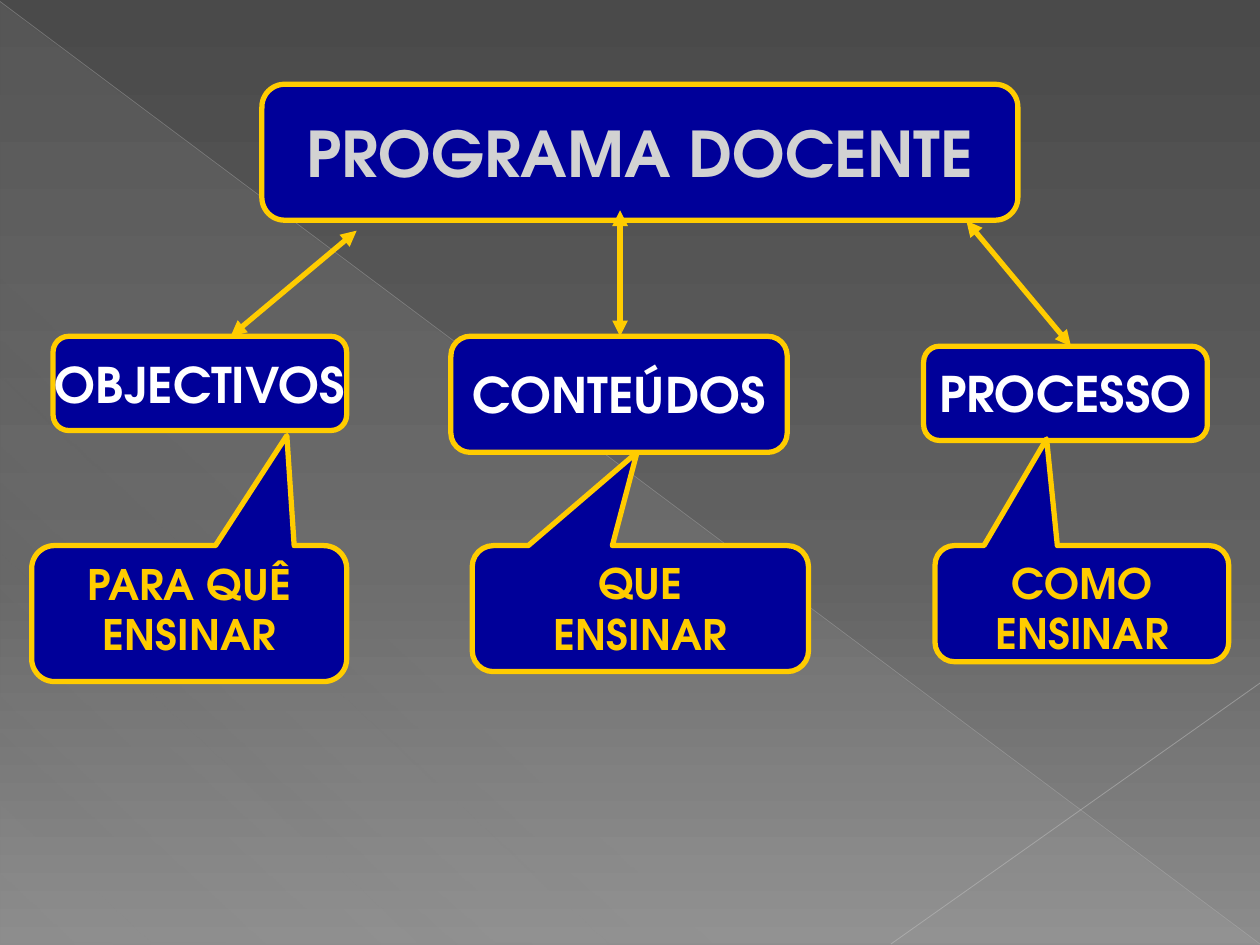
from lxml import etree
from pptx import Presentation
from pptx.dml.color import RGBColor
from pptx.enum.shapes import MSO_CONNECTOR, MSO_SHAPE
from pptx.enum.text import MSO_ANCHOR, PP_ALIGN
from pptx.oxml.ns import qn
from pptx.util import Cm, Pt

ROUND_RECT = MSO_SHAPE.ROUNDED_RECTANGLE
CALLOUT = MSO_SHAPE.ROUNDED_RECTANGULAR_CALLOUT
TRIANGLE = MSO_SHAPE.RIGHT_TRIANGLE
STRAIGHT = MSO_CONNECTOR.STRAIGHT
MIDDLE, TOP = MSO_ANCHOR.MIDDLE, MSO_ANCHOR.TOP
CENTER = PP_ALIGN.CENTER

FONT = "TeX Gyre Adventor"
NAVY, GOLD, WHITE, SILVER = "000099", "FFCC00", "FFFFFF", "D2D2D2"
SLIDE_W, SLIDE_H = 25.4, 19.05
CORNER = 0.167
CALLOUT_TOP = 6.76  # below the top of a column


def color(value):
    return RGBColor.from_string(value)


def add_alpha(clr, percent):
    etree.SubElement(clr, qn("a:alpha"), val=str(percent * 1000))


def set_gradient(fill, element, stops, angle):
    """Fill with stops of (position, colour, opacity), all in percent."""
    fill.gradient()
    grad = next(element.iter(qn("a:gradFill")))
    stop_list = grad.find(qn("a:gsLst"))
    for old in list(stop_list):
        stop_list.remove(old)
    for position, value, opacity in stops:
        gs = etree.SubElement(stop_list, qn("a:gs"), pos=str(position * 1000))
        clr = etree.SubElement(gs, qn("a:srgbClr"), val=value)
        if opacity < 100:
            add_alpha(clr, opacity)
    grad.find(qn("a:lin")).set("ang", str(angle * 60000))


def add_line(s, start, end, value, width, opacity=100, arrows=False):
    line = s.shapes.add_connector(STRAIGHT, *map(Cm, start + end))
    line.line.width = Pt(width)
    line.line.color.rgb = color(value)
    props = line.element.spPr
    ln = props.find(qn("a:ln"))
    if opacity < 100:
        add_alpha(next(ln.iter(qn("a:srgbClr"))), opacity)
    if arrows:
        for tag in ("a:headEnd", "a:tailEnd"):
            etree.SubElement(ln, qn(tag), type="triangle")
    etree.SubElement(props, qn("a:effectLst"))


def add_box(s, kind, box, adjustments, lines, size, value, anchor, wrap):
    sp = s.shapes.add_shape(kind, *map(Cm, box))
    sp.shadow.inherit = False
    for i, adjustment in enumerate(adjustments):
        sp.adjustments[i] = adjustment
    sp.fill.solid()
    sp.fill.fore_color.rgb = color(NAVY)
    sp.line.color.rgb = color(GOLD)
    sp.line.width = Pt(3)
    tf = sp.text_frame
    tf.word_wrap = wrap
    tf.vertical_anchor = anchor
    for i, text in enumerate(lines):
        p = tf.paragraphs[0] if i == 0 else tf.add_paragraph()
        p.alignment = CENTER
        r = p.add_run()
        r.text = text
        for name, setting in {"name": FONT, "size": Pt(size), "bold": True}.items():
            setattr(r.font, name, setting)
        r.font.color.rgb = color(value)


def add_backdrop(s, box):
    x, y, w, h = box
    # Grey background
    background = [(0, "4A4A4A", 100), (60, "626262", 100), (100, "8C8C8C", 100)]
    set_gradient(s.background.fill, s.element, background, 90)
    # Faint triangle
    sp = s.shapes.add_shape(TRIANGLE, *map(Cm, box))
    sp.shadow.inherit = False
    sp.line.fill.background()
    sheen = [(0, SILVER, 10), (70, SILVER, 8), (100, SILVER, 1)]
    set_gradient(sp.fill, sp.element, sheen, 133)
    # Thin diagonals
    add_line(s, (x, y), (x + w, y + h), "BFBFBF", 0.39, opacity=35)
    add_line(s, (x + w, y + 13.74), (x + 17.96, y + h), "C6C6C6", 0.47, opacity=45)


def add_title(s, box, text):
    add_box(s, ROUND_RECT, box, [CORNER], [text], 36, SILVER, MIDDLE, False)


def add_column(s, origin, col):
    """Place label, arrow and callout relative to the column's top left."""
    x, y = origin
    dx, dy, w, h = col["label_box"]
    # Label
    add_box(s, ROUND_RECT, (x + dx, y + dy, w, h), [CORNER], [col["label"]],
            28, WHITE, MIDDLE, False)
    # Arrow between the title and the label
    from_x, from_y, to_x = col["arrow"]
    add_line(s, (x + from_x, y + from_y), (x + to_x, y + dy), GOLD, 3, arrows=True)
    # Callout pointing at the label
    dx, w, h = col["callout_box"]
    add_box(s, CALLOUT, (x + dx, y + CALLOUT_TOP, w, h), [*col["tip"], CORNER],
            [col["question"], "ENSINAR"], 24, GOLD, TOP, True)


COLUMNS_TOP = 4.24
COLUMNS = [
    {"left": 0.64, "label": "OBJECTIVOS", "question": "PARA QUÊ",
     "label_box": (0.43, 2.54, 5.92, 1.9), "arrow": (6.55, 0.41, 4.01),
     "callout_box": (0, 6.35, 2.74), "tip": (0.31, -1.31)},
    {"left": 9.09, "label": "CONTEÚDOS", "question": "QUE",
     "label_box": (0, 2.54, 6.78, 2.34), "arrow": (3.41, 0, 3.41),
     "callout_box": (0.43, 6.78, 2.54), "tip": (-0.01, -1.24)},
    {"left": 18.62, "label": "PROCESSO", "question": "COMO",
     "label_box": (0, 2.74, 5.72, 1.9), "arrow": (0.86, 0.21, 2.97),
     "callout_box": (0.23, 5.92, 2.34), "tip": (-0.12, -1.42)},
]


def main():
    prs = Presentation()
    prs.slide_width, prs.slide_height = Cm(SLIDE_W), Cm(SLIDE_H)
    s = prs.slides.add_slide(prs.slide_layouts[6])
    add_backdrop(s, (0, 0.03, SLIDE_W, 19))
    add_title(s, (5.28, 1.7, 15.24, 2.74), "PROGRAMA DOCENTE")
    for col in COLUMNS:
        add_column(s, (col["left"], COLUMNS_TOP), col)
    prs.save("out.pptx")


if __name__ == "__main__":
    main()
